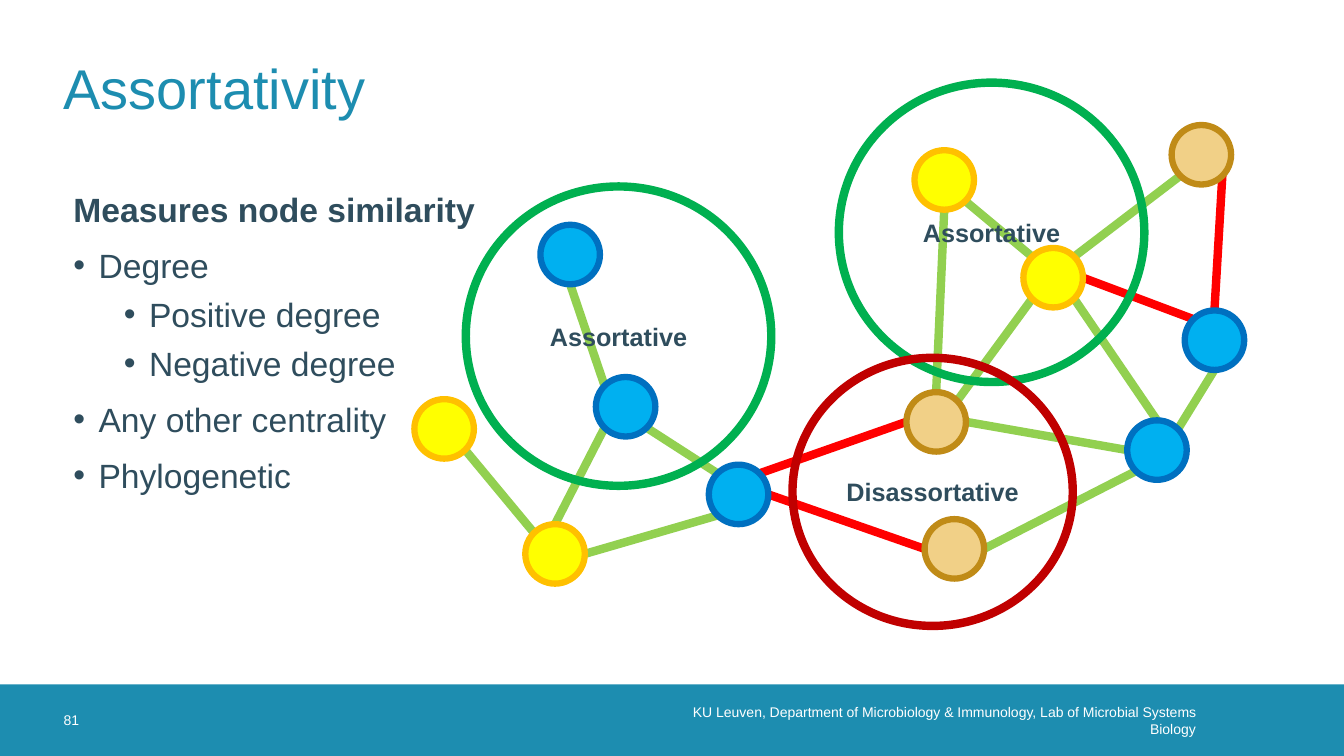
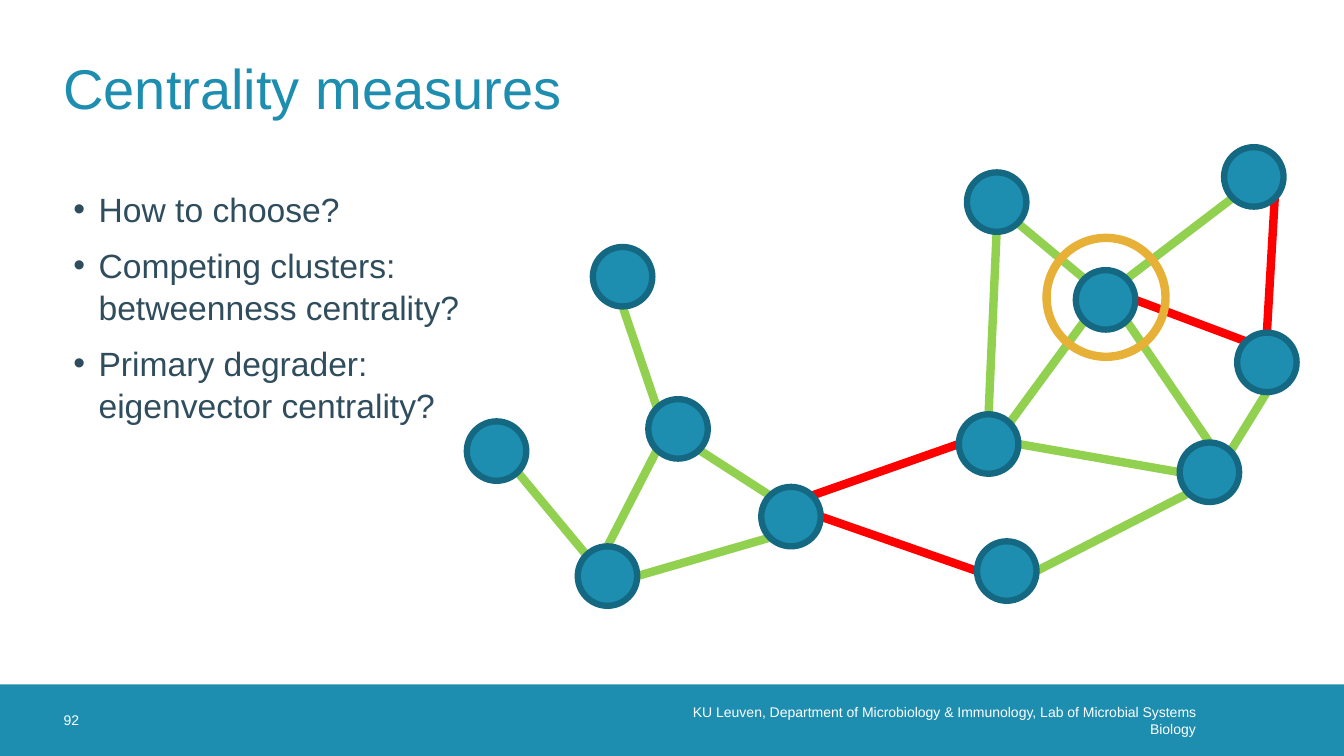
from lxml import etree
from pptx import Presentation
from pptx.dml.color import RGBColor
from pptx.enum import shapes, text
from pptx.oxml.ns import qn
from pptx.util import Inches, Pt

HUES = {
    "teal": "1D8DB0", "deep": "156882", "ink": "2F4D5D", "white": "FFFFFF",
    "lime": "92D050", "red": "FF0000", "green": "00B050", "wine": "C00000",
    "yellow": "FFFF00", "amber": "FFC000", "sky": "00B0F0", "blue": "0070C0",
    "sand": "F1D087", "bronze": "C08B17", "gold": "E7B037",
}
HUES = {name: RGBColor.from_string(code) for name, code in HUES.items()}
FONT = "Arial"
FOOT = ("KU Leuven, Department of Microbiology & Immunology, "
        "Lab of Microbial Systems Biology")
BAND = (6.79, 0.71)  # top, height
LEFT, WIDE = 0.63, 12.07

# Network: left and top of each node, then its kind
SIZE = 0.59
NODES = {
    "a": (4.11, 3.96, "yellow"), "b": (5.21, 5.2, "yellow"),
    "c": (11.75, 3.08, "sky"), "d": (7.03, 4.61, "sky"),
    "e": (5.36, 2.23, "sky"), "f": (5.91, 3.74, "sky"),
    "g": (9.17, 5.15, "sand"), "h": (8.99, 3.89, "sand"),
    "i": (9.07, 1.49, "yellow"), "j": (10.15, 2.46, "yellow"),
    "k": (11.18, 4.17, "sky"), "l": (11.62, 1.24, "sand"),
}
RIMS = {"yellow": "amber", "sky": "blue", "sand": "bronze", "teal": "deep"}

# Edges: node and compass point at each end, then colour
EDGES = [edge.split() for edge in (
    "j SE k N lime", "j SW h NE lime", "a SE b NW lime", "e S f NW lime",
    "f SW b N lime", "f SE d NW lime", "d SW b E lime", "d NE h W red",
    "d E g W red", "h N i S lime", "g E k SW lime", "h E k W lime",
    "i SE j NW lime", "c S k NE lime", "j E c NW red", "l SE c N red",
    "l SW j NE lime",
)]
DIAG = 0.5 ** 0.5
SIDES = {"N": (0, -1), "S": (0, 1), "W": (-1, 0), "E": (1, 0),
         "NW": (-DIAG, -DIAG), "NE": (DIAG, -DIAG),
         "SW": (-DIAG, DIAG), "SE": (DIAG, DIAG)}

# Body rows: style, words
STYLES = {  # left margin, indent, space before, bold
    "head": (0, 0, 10, True),
    "item": (0.25, -0.25, 10, False),
    "sub": (0.75, -0.25, 5, False),
}
SLIDES = [
    {"title": "Assortativity", "page": "81", "shift": (0, 0), "kind": None,
     "rows": [("head", "Measures node similarity"), ("item", "Degree"),
              ("sub", "Positive degree"), ("sub", "Negative degree"),
              ("item", "Any other centrality"), ("item", "Phylogenetic")],
     "rings": [((4.62, 1.85, 3.03, 2.97), "green", "Assortative"),
               ((8.32, 0.82, 3.03, 2.97), "green", "Assortative"),
               ((7.86, 3.55, 2.78, 2.66), "wine", "Disassortative")]},
    {"title": "Centrality measures", "page": "92", "shift": (0.52, 0.22),
     "kind": "teal",
     "rows": [("item", "How to choose?"),
              ("item", "Competing clusters:\nbetweenness centrality?"),
              ("item", "Primary degrader:\neigenvector centrality?")],
     "rings": [((10.38, 2.36, 1.18, 1.18), "gold", "")]},
]


def label(slide, words, box, size, hue, inset=0):
    """Add one line of text, centred in height, with an inset on the right."""
    shape = slide.shapes.add_textbox(*map(Inches, box))
    frame = shape.text_frame
    frame.word_wrap = True
    frame.vertical_anchor = text.MSO_ANCHOR.MIDDLE
    frame.margin_left = frame.margin_top = frame.margin_bottom = 0
    frame.margin_right = Inches(inset)
    frame.text = words
    font = frame.paragraphs[0].font
    font.name, font.size, font.color.rgb = FONT, Pt(size), HUES[hue]
    return frame.paragraphs[0]


def oval(parent, box, fill, rim, width):
    shape = parent.add_shape(shapes.MSO_SHAPE.OVAL, *map(Inches, box))
    shape.shadow.inherit = False
    if fill:
        shape.fill.solid()
        shape.fill.fore_color.rgb = HUES[fill]
    else:
        shape.fill.background()
    shape.line.color.rgb = HUES[rim]
    shape.line.width = Pt(width)
    return shape


deck = Presentation()
deck.slide_width, deck.slide_height = Inches(13.33), Inches(7.5)

for plan in SLIDES:
    slide = deck.slides.add_slide(deck.slide_layouts[6])

    # Band
    top, high = BAND
    band = slide.shapes.add_shape(
        shapes.MSO_SHAPE.RECTANGLE, 0, Inches(top), deck.slide_width, Inches(high))
    band.shadow.inherit = False
    band.fill.solid()
    band.fill.fore_color.rgb = HUES["teal"]
    band.line.fill.background()

    # Body
    body = slide.shapes.add_textbox(*map(Inches, (LEFT, 1.81, WIDE, 4.88)))
    frame = body.text_frame
    frame.word_wrap = True
    for n, (style, words) in enumerate(plan["rows"]):
        para = frame.add_paragraph() if n else frame.paragraphs[0]
        margin, indent, before, bold = STYLES[style]
        para.text = words
        para.line_spacing = 1.04
        para.space_before = Pt(before if n else 0)
        if indent:
            props = para._p.get_or_add_pPr()
            props.set("marL", str(Inches(margin)))
            props.set("indent", str(Inches(indent)))
            etree.SubElement(props, qn("a:buFont")).set("typeface", FONT)
            etree.SubElement(props, qn("a:buChar")).set("char", "•")
        if style == "sub":
            para.level = 1
        font = para.font
        font.name, font.size, font.bold = FONT, Pt(24), bold
        font.color.rgb = HUES["ink"]

    # Footer and title
    foot = label(slide, FOOT, (6.6, top, 5.46, high), 10, "white", 0.2)
    foot.alignment = text.PP_ALIGN.RIGHT
    label(slide, plan["page"], (LEFT, top, 0.71, high), 10, "white")
    label(slide, plan["title"], (LEFT, 0.23, WIDE, 1.26), 40, "teal")

    # Network
    right, down = plan["shift"]
    spots = {key: (x + right, y + down) for key, (x, y, _) in NODES.items()}
    net = slide.shapes.add_group_shape().shapes
    for start, out, stop, into, hue in EDGES:
        ends = []
        for key, side in ((start, out), (stop, into)):
            for place, step in zip(spots[key], SIDES[side]):
                ends.append(Inches(place + SIZE / 2 * (1 + step)))
        edge = net.add_connector(shapes.MSO_CONNECTOR.STRAIGHT, *ends)
        edge.line.color.rgb = HUES[hue]
        edge.line.width = Pt(6)
        etree.SubElement(edge._element.spPr, qn("a:effectLst"))
    for key, spot in spots.items():
        kind = plan["kind"] or NODES[key][2]
        oval(net, (*spot, SIZE, SIZE), kind, RIMS[kind], 4.5)

    # Rings
    for box, hue, words in plan["rings"]:
        ring = oval(slide.shapes, box, None, hue, 6)
        if words:
            ring.text_frame.text = words
            para = ring.text_frame.paragraphs[0]
            para.alignment = text.PP_ALIGN.CENTER
            font = para.font
            font.name, font.size, font.bold = FONT, Pt(18), True
            font.color.rgb = HUES["ink"]

deck.save("out.pptx")
